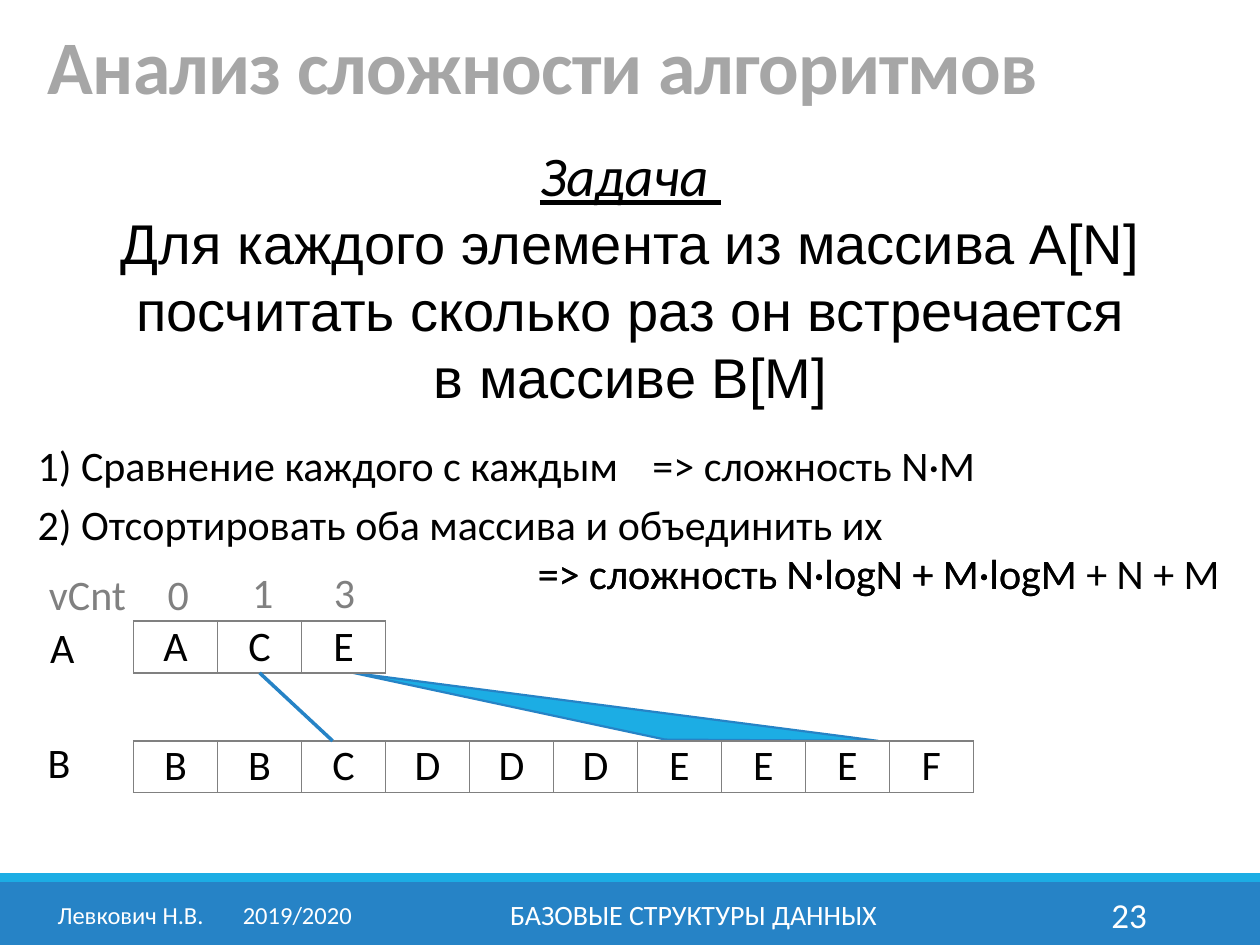
from lxml import etree
from pptx import Presentation
from pptx import util as u
from pptx.dml.color import RGBColor
from pptx.enum import shapes, text
from pptx.oxml.ns import qn

WIDTH, HEIGHT = 10, 7.5
CELL, ROW, LEFT = 2 / 3, 0.41, 1.06
TOP_A, TOP_B = 4.93, 5.88
BLACK, WHITE, GRAY, SILVER = "000000", "FFFFFF", "808080", "A6A6A6"
BLUE, SKY = "2683C6", "1CADE4"

TITLE = "Анализ сложности алгоритмов"
TASK = [
    ("Задача ", dict(italic=True, underline=True)),
    ("Для каждого элемента из массива A[N] посчитать сколько раз он встречается\nв массиве B[M]",
     dict(font="Arial")),
]
ARRAYS = [("ACE", TOP_A), ("BBCDDDEEEF", TOP_B)]
LABELS = [
    ("1) Сравнение каждого с каждым", (0.2, 3.44, 9.29, 0.5), BLACK),
    ("=> сложность N·M", (5.08, 3.44, 2.78, 0.5), BLACK),
    ("2) Отсортировать оба массива и объединить их", (0.2, 3.91, 9.29, 0.5), BLACK),
    ("=> сложность N·logN + M·logM + N + M", (4.17, 4.3, 5.83, 0.5), BLACK),
    ("=> сложность N·logN + M·logM", (4.17, 4.3, 5.83, 0.5), BLACK),
    ("A", (0.3, 4.88, 0.94, 0.5), BLACK),
    ("B", (0.28, 5.8, 0.94, 0.5), BLACK),
    ("vCnt", (0.29, 4.46, 0.94, 0.5), GRAY),
]
COUNTS = [("0", 1.06, 4.46), ("1", 1.73, 4.45), ("3", 2.38, 4.45)]
FOOTER = [
    ("БАЗОВЫЕ СТРУКТУРЫ ДАННЫХ", 3.02, 4.97, 16, text.PP_ALIGN.CENTER),
    ("23", 8.12, 1.08, 20, text.PP_ALIGN.RIGHT),
    ("Левкович Н.В.\t2019/2020", 0.32, 2.61, 14, text.PP_ALIGN.CENTER),
]
FAN = [(2.8, 5.34), (5.28, 5.87), (6.97, 5.88)]
LINK = [(LEFT + 1.5 * CELL, TOP_A + ROW), (2.64, TOP_B)]


def color(value):
    return RGBColor.from_string(value)


def inches(values):
    return [u.Inches(value) for value in values]


def write(para, words, size=24, fill=BLACK, font="Calibri", bold=False,
          italic=False, underline=False, align=text.PP_ALIGN.LEFT):
    para.text = words
    para.alignment = align
    for span in para.runs:
        face = span.font
        face.name, face.size = font, u.Pt(size)
        face.bold, face.italic, face.underline = bold, italic, underline
        face.color.rgb = color(fill)


def add_box(page, words, area, anchor=text.MSO_ANCHOR.TOP, **style):
    box = page.shapes.add_textbox(*inches(area))
    frame = box.text_frame
    frame.word_wrap = True
    frame.vertical_anchor = anchor
    write(frame.paragraphs[0], words, **style)
    return frame


def paint(shape, fill, line=None):
    shape.shadow.inherit = False
    shape.fill.solid()
    shape.fill.fore_color.rgb = color(fill)
    if line:
        shape.line.color.rgb = color(line)
        shape.line.width = u.Pt(1.25)
    else:
        shape.line.fill.background()


def add_border(cell):
    props = cell._tc.get_or_add_tcPr()
    for index, side in enumerate(("lnL", "lnR", "lnT", "lnB")):
        edge = etree.Element(qn("a:" + side), w=str(u.Pt(1)))
        solid = etree.SubElement(edge, qn("a:solidFill"))
        etree.SubElement(solid, qn("a:srgbClr"), val=GRAY)
        props.insert(index, edge)


def add_array(page, letters, top):
    area = inches((LEFT, top, CELL * len(letters), ROW))
    table = page.shapes.add_table(1, len(letters), *area).table
    table.first_row = table.horz_banding = False
    for column, letter in enumerate(letters):
        table.columns[column].width = u.Inches(CELL)
        cell = table.cell(0, column)
        cell.margin_left = cell.margin_right = cell.margin_top = cell.margin_bottom = 0
        cell.vertical_anchor = text.MSO_ANCHOR.MIDDLE
        cell.fill.solid()
        cell.fill.fore_color.rgb = color(WHITE)
        write(cell.text_frame.paragraphs[0], letter, align=text.PP_ALIGN.CENTER)
        add_border(cell)


def add_title(page):
    title = page.shapes.title
    title.left, title.top, title.width, title.height = inches((0.28, 0, 8.25, 0.92))
    frame = title.text_frame
    frame.auto_size = text.MSO_AUTO_SIZE.NONE
    frame.vertical_anchor = text.MSO_ANCHOR.BOTTOM
    para = frame.paragraphs[0]
    write(para, TITLE, size=43.2, fill=SILVER, bold=True)
    para.line_spacing = 0.85
    para.runs[0].font._element.set("spc", "-50")


def add_footer(page):
    for words, left, width, size, align in FOOTER:
        frame = add_box(page, words, (left, 7.06, width, 0.4), text.MSO_ANCHOR.MIDDLE,
                        size=size, fill=WHITE, align=align)
        if "\t" in words:
            props = frame.paragraphs[0]._p.get_or_add_pPr()
            stops = etree.SubElement(props, qn("a:tabLst"))
            etree.SubElement(stops, qn("a:tab"), pos=str(u.Inches(1.47)), algn="l")


def main():
    deck = Presentation()
    deck.slide_width, deck.slide_height = inches((WIDTH, HEIGHT))
    page = deck.slides.add_slide(deck.slide_layouts[5])

    for top, height, fill in ((7, 0.5, BLUE), (6.93, 0.07, SKY)):
        band = page.shapes.add_shape(shapes.MSO_SHAPE.RECTANGLE, *inches((0, top, WIDTH, height)))
        paint(band, fill)

    builder = page.shapes.build_freeform(*inches(FAN[0]))
    builder.add_line_segments([inches(point) for point in FAN[1:]], close=True)
    paint(builder.convert_to_shape(), SKY, BLUE)

    add_footer(page)
    add_title(page)

    (heading, heading_style), (task, task_style) = TASK
    centered = dict(size=32, align=text.PP_ALIGN.CENTER)
    frame = add_box(page, heading, (0.28, 1.07, 9.45, 2.26), **centered, **heading_style)
    write(frame.add_paragraph(), task, **centered, **task_style)

    for letters, top in ARRAYS:
        add_array(page, letters, top)

    start, end = LINK
    link = page.shapes.add_connector(shapes.MSO_CONNECTOR.STRAIGHT, *inches(start + end))
    link.line.color.rgb = color(BLUE)
    link.line.width = u.Pt(2)
    etree.SubElement(link._element.spPr, qn("a:effectLst"))

    for words, area, fill in LABELS:
        add_box(page, words, area, fill=fill)
    for count, left, top in COUNTS:
        add_box(page, count, (left, top, 0.71, 0.4), fill=GRAY, align=text.PP_ALIGN.CENTER)

    deck.save("out.pptx")


if __name__ == "__main__":
    main()
